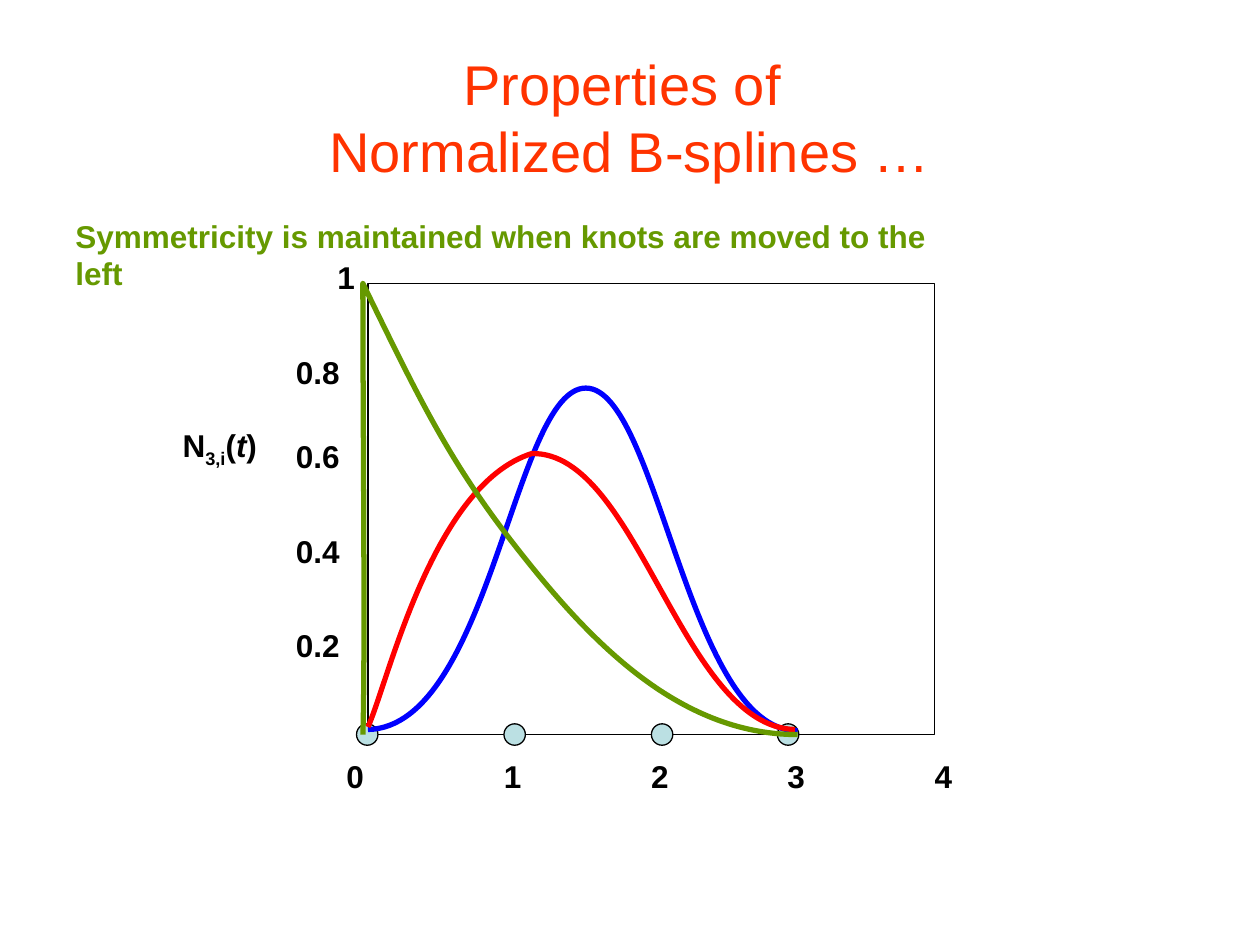
import pptx
import pptx.util
import pptx.dml.color
import pptx.enum.shapes
import pptx.enum.text
import pptx.oxml.ns

Inches = pptx.util.Inches
Shape = pptx.enum.shapes.MSO_SHAPE
Fit = pptx.enum.text.MSO_AUTO_SIZE

COLORS = {"title": "FF3300", "text": "000000", "knot": "BBE0E3",
          "blue": "0000FF", "red": "FF0000", "green": "669900"}

# Plot frame and label positions, in inches
LEFT, TOP, WIDE, HIGH = 2.92, 2.25, 4.5, 3.58
BASE = TOP + HIGH
X_MARKS = {"0": 2.65, "1": 3.9, "2": 5.07, "3": 6.15, "4": 7.32}
Y_MARKS = {"0.8": 2.75, "0.6": 3.42, "0.4": 4.17, "0.2": 4.92}
KNOTS = [4, 5.17, 6.17, 2.83]
KNOT = 0.17

# Bezier curves: a start point, then three points for each segment
CURVES = {
    "blue": [(6.33, 5.8), (5.46, 5.8), (5.22, 3.08), (4.65, 3.08),
             (4.08, 3.08), (3.89, 5.77), (2.92, 5.79)],
    "red": [(6.31, 5.79), (5.41, 5.77), (5.06, 3.58), (4.22, 3.6),
            (3.43, 3.85), (3.08, 5.42), (2.92, 5.77)],
    "green": [(6.33, 5.83), (5.37, 5.83), (4.66, 5.06), (4.11, 4.36),
              (3.56, 3.66), (3.32, 3.15), (2.88, 2.25),
              (2.88, 3.38), (2.9, 5.21), (2.88, 5.83)],
}


def rgb(name):
    return pptx.dml.color.RGBColor.from_string(COLORS[name])


def write(para, text, size=18, color="text", bold=True, italic=False, base=0):
    """Add text to a paragraph as one formatted run per line."""
    for num, line in enumerate(text.split("\n")):
        if num:
            para.add_line_break()
        run = para.add_run()
        run.text = line
        font = run.font
        font.name, font.size = "Arial", pptx.util.Pt(size)
        font.bold, font.italic = bold, italic
        font.color.rgb = rgb(color)
        if base:
            run._r.get_or_add_rPr().set("baseline", str(base * 1000))


def label(shapes, left, top, width, *parts, high=0.4):
    """Add a one-line text box; each part is a text and its format."""
    box = shapes.add_textbox(*map(Inches, (left, top, width, high)))
    frame = box.text_frame
    frame.word_wrap = False
    frame.auto_size = Fit.SHAPE_TO_FIT_TEXT
    for text, style in parts:
        write(frame.paragraphs[0], text, **style)


def style(shape, line, width, fill=None):
    shape.shadow.inherit = False
    shape.line.color.rgb = rgb(line)
    shape.line.width = pptx.util.Pt(width)
    if fill:
        shape.fill.solid()
        shape.fill.fore_color.rgb = rgb(fill)
    else:
        shape.fill.background()


def form(shapes, kind, left, top, wide, high, fill=None):
    shape = shapes.add_shape(kind, *map(Inches, (left, top, wide, high)))
    style(shape, "text", 0.75, fill)


def curve(shapes, color, points):
    """Draw a freeform, then turn each three line steps into a Bezier."""
    spots = [(Inches(x), Inches(y)) for x, y in points]
    pen = shapes.build_freeform(*spots[0], scale=1.0)
    pen.add_line_segments(spots[1:], close=False)
    shape = pen.convert_to_shape()
    style(shape, color, 3)
    qn = pptx.oxml.ns.qn
    steps = list(shape._element.iter(qn("a:lnTo")))
    for num in range(0, len(steps), 3):
        bend = pptx.oxml.parse_xml(
            f"<a:cubicBezTo {pptx.oxml.ns.nsdecls('a')}/>")
        steps[num].addprevious(bend)
        for step in steps[num:num + 3]:
            bend.append(step[0])
            step.getparent().remove(step)


def plot(shapes):
    """Frame, axis numbers and axis name."""
    form(shapes, Shape.RECTANGLE, LEFT, TOP, WIDE, HIGH)
    for text, left in X_MARKS.items():
        label(shapes, left, 5.96, 0.34, (text, {}))
    label(shapes, 2.58, 2, 0.34, ("1", {}))
    for text, top in Y_MARKS.items():
        label(shapes, 2.25, top, 0.55, (text, {}))
    label(shapes, 1.35, 3.33, 0.79, ("N", {}), ("3,i", {"base": -25}),
          ("(", {}), ("t", {"italic": True}), (")", {}), high=0.44)


def main():
    deck = pptx.Presentation()
    deck.slide_width, deck.slide_height = Inches(10), Inches(7.5)
    slide = deck.slides.add_slide(deck.slide_layouts[5])
    shapes = slide.shapes

    # Title
    title = shapes.title
    title.left, title.top, title.width, title.height = map(
        Inches, (0.5, 0.3, 9, 1.25))
    title.text_frame.auto_size = Fit.NONE
    title.text_frame.vertical_anchor = pptx.enum.text.MSO_ANCHOR.MIDDLE
    para = title.text_frame.paragraphs[0]
    para.alignment = pptx.enum.text.PP_ALIGN.CENTER
    write(para, "Properties of \nNormalized B-splines …",
          size=32, color="title", bold=False)

    # Plot with its knots and curves
    plot(shapes.add_group_shape().shapes)
    for left in KNOTS:
        form(shapes, Shape.OVAL, left, BASE - KNOT / 2, KNOT, KNOT, "knot")
    for color, points in CURVES.items():
        curve(shapes, color, points)

    # Statement
    label(shapes, 0.5, 1.67, 7.39,
          ("Symmetricity is maintained when knots are moved to the left",
           {"color": "green"}))
    deck.save("out.pptx")


if __name__ == "__main__":
    main()
